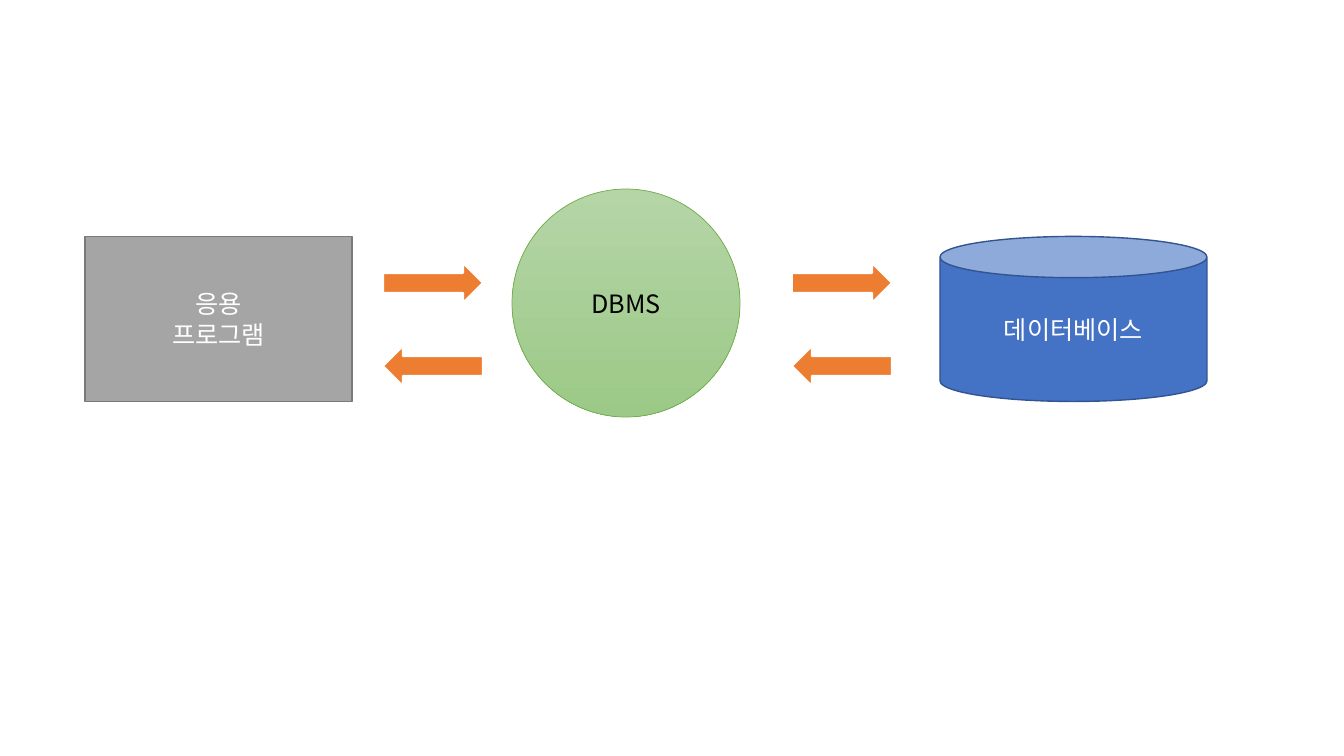
from pptx import Presentation
from pptx import util as u
from pptx.dml.color import RGBColor
from pptx.enum import shapes, text
from pptx.oxml.ns import qn
from lxml import etree

KIND = shapes.MSO_SHAPE
THEME = dict(font="Noto Sans CJK KR", size=18, light="FFFFFF", dark="000000",
             app="A5A5A5", app_edge="7A7A7A", db="4472C4", db_edge="325491",
             dbms=("B5D5A7", "9CC987"), dbms_edge="70AD47", arrow="ED7D31")

# kind, lines of text, left, width, height, fill, edge, edge width, ink
NODES = [
    (KIND.RECTANGLE, ["응용", "프로그램"], 85, 267, 165, "app", "app_edge", 1, "light"),
    (KIND.OVAL, ["DBMS"], 512, 228, 228, "dbms", "dbms_edge", 0.5, "dark"),
    (KIND.CAN, ["데이터베이스"], 940, 267, 165, "db", "db_edge", 1, "light"),
]
MID = {KIND.RECTANGLE: 319, KIND.OVAL: 303, KIND.CAN: 319}
ARROW_W, ARROW_H = 100, 40
ARROW_X = [383, 792]
ARROW_Y = [(263, 0), (346, 180)]  # top, turn


def px(n):
    """Turn pixels into EMU."""
    return u.Emu(round(n * u.Inches(1) / 100.8))


def rgb(name):
    """Give a theme colour."""
    return RGBColor.from_string(THEME[name])


def draw(kind, x, y, w, h, fill, edge, width):
    """Add a shape with a flat or two-stop fill."""
    shape = slide.shapes.add_shape(kind, px(x), px(y), px(w), px(h))
    shape.shadow.inherit = False
    if isinstance(THEME[fill], tuple):
        shape.fill.gradient()
        shape.fill.gradient_angle = 270
        for stop, tint in zip(shape.fill.gradient_stops, THEME[fill]):
            stop.color.rgb = RGBColor.from_string(tint)
    else:
        shape.fill.solid()
        shape.fill.fore_color.rgb = rgb(fill)
    shape.line.color.rgb = rgb(edge)
    shape.line.width = u.Pt(width)
    return shape


def write(shape, lines, ink="light", size=THEME["size"], align=text.PP_ALIGN.CENTER):
    """Put one paragraph per line in a shape."""
    frame = shape.text_frame
    frame.word_wrap = True
    frame.vertical_anchor = text.MSO_ANCHOR.MIDDLE
    frame.text = "\n".join(lines)
    for para in frame.paragraphs:
        para.alignment = align
        for run in para.runs:
            run.font.size = u.Pt(size)
            run.font.color.rgb = rgb(ink)
            run.font.name = THEME["font"]
            asian = etree.SubElement(run.font._element, qn("a:ea"))
            asian.set("typeface", THEME["font"])


deck = Presentation()
deck.slide_width, deck.slide_height = px(1344), px(756)
slide = deck.slides.add_slide(deck.slide_layouts[6])

for kind, lines, x, w, h, fill, edge, width, ink in NODES:
    node = draw(kind, x, MID[kind] - h / 2, w, h, fill, edge, width)
    write(node, lines, ink=ink)

for y, turn in ARROW_Y:
    for x in ARROW_X:
        arrow = draw(KIND.RIGHT_ARROW, x, y, ARROW_W, ARROW_H, "arrow", "light", 1.5)
        arrow.rotation = turn

deck.save("out.pptx")
